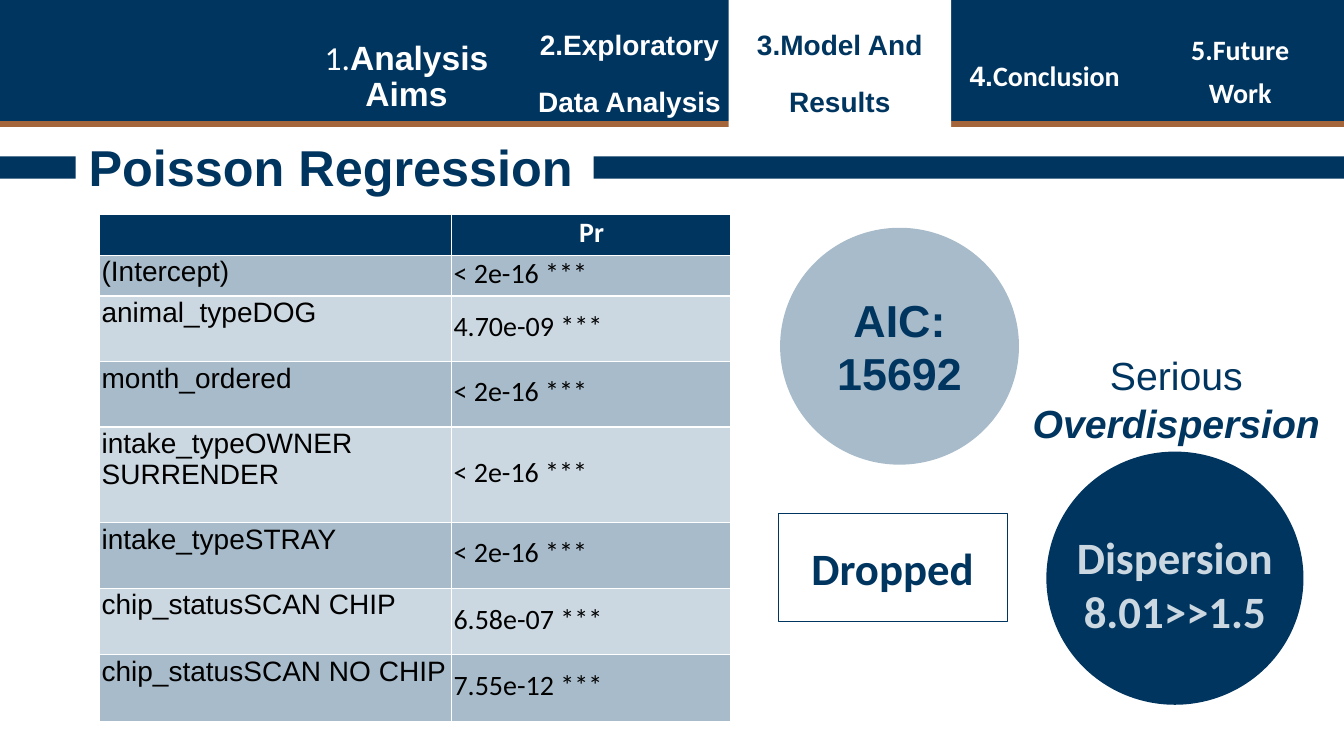
import pptx
import pptx.dml.color
import pptx.enum.shapes
import pptx.enum.text
import pptx.oxml
import pptx.util

Cm = pptx.util.Cm
Pt = pptx.util.Pt
RGBColor = pptx.dml.color.RGBColor
Shape = pptx.enum.shapes.MSO_SHAPE
Align = pptx.enum.text.PP_ALIGN
Anchor = pptx.enum.text.MSO_ANCHOR

NAVY = RGBColor(0x00, 0x35, 0x5F)
COPPER = RGBColor(0xA4, 0x65, 0x3A)
STEEL = RGBColor(0xA8, 0xBB, 0xCA)
MIST = RGBColor(0xCC, 0xD8, 0xE1)
WHITE = RGBColor(0xFF, 0xFF, 0xFF)
BLACK = RGBColor(0x00, 0x00, 0x00)


def apply(target, values):
    for name, value in values.items():
        setattr(target, name, value)


def font(name, size, color, bold=True, italic=False):
    return {"name": name, "size": Pt(size), "color": color, "bold": bold, "italic": italic}


class SlideBuilder:
    border = ('<a:{side} xmlns:a="http://schemas.openxmlformats.org/drawingml/2006/main" w="12700">'
              '<a:solidFill><a:srgbClr val="FFFFFF"/></a:solidFill></a:{side}>')
    cell_margins = {"margin_left": Cm(0.05), "margin_right": Cm(0.03),
                    "margin_top": Cm(0.03), "margin_bottom": Cm(0.13)}

    def __init__(self, presentation):
        self.slide = presentation.slides.add_slide(presentation.slide_layouts[5])
        self.shapes = self.slide.shapes

    def fill_text(self, frame, paragraphs, spacing=1.0, alignment=Align.CENTER):
        for index, runs in enumerate(paragraphs):
            paragraph = frame.paragraphs[0] if index == 0 else frame.add_paragraph()
            apply(paragraph, {"alignment": alignment, "line_spacing": spacing})
            for text, style in runs:
                for number, line in enumerate(text.split("\n")):
                    if number:
                        paragraph.add_line_break()
                    run = paragraph.add_run()
                    run.text = line
                    values = dict(style)
                    run.font.color.rgb = values.pop("color")
                    apply(run.font, values)

    def title(self, box, text, style):
        title = self.shapes.title
        apply(title, dict(zip(("left", "top", "width", "height"), map(Cm, box))))
        apply(title.text_frame, {"vertical_anchor": Anchor.MIDDLE, "word_wrap": True,
                                 "auto_size": pptx.enum.text.MSO_AUTO_SIZE.NONE})
        self.fill_text(title.text_frame, [[(text, style)]], 0.9, Align.LEFT)

    def shape(self, kind, box, fill=None, outline=None):
        shape = self.shapes.add_shape(kind, *map(Cm, box))
        shape.shadow.inherit = False
        if fill is None:
            shape.fill.background()
        else:
            shape.fill.solid()
            shape.fill.fore_color.rgb = fill
        if outline is None:
            shape.line.fill.background()
        else:
            shape.line.color.rgb = outline
            shape.line.width = Pt(0.75)
        shape.text_frame.vertical_anchor = Anchor.TOP
        return shape

    def text(self, box, paragraphs, spacing=1.0):
        frame = self.shapes.add_textbox(*map(Cm, box)).text_frame
        frame.word_wrap = True
        self.fill_text(frame, paragraphs, spacing)

    def cell(self, cell, text, style, fill, alignment, anchor):
        apply(cell, {**self.cell_margins, "vertical_anchor": anchor})
        properties = cell._tc.get_or_add_tcPr()
        for side in ("lnL", "lnR", "lnT", "lnB"):
            properties.append(pptx.oxml.parse_xml(self.border.format(side=side)))
        cell.fill.solid()
        cell.fill.fore_color.rgb = fill
        if text:
            self.fill_text(cell.text_frame, [[(text, style)]], alignment=alignment)

    def table(self, left, top, widths, heights, rows):
        table = self.shapes.add_table(len(rows), len(widths), Cm(left), Cm(top),
                                      Cm(sum(widths)), Cm(sum(heights))).table
        for column, width in zip(table.columns, widths):
            column.width = Cm(width)
        for index, (height, values) in enumerate(zip(heights, rows)):
            table.rows[index].height = Cm(height)
            header = index == 0
            fill = NAVY if header else STEEL if index % 2 else MIST
            for column, value in enumerate(values):
                style = font(("Arial", "Calibri")[column], 20, WHITE if header else BLACK, header)
                anchor = Anchor.MIDDLE if column and index > 1 else Anchor.TOP
                self.cell(table.cell(index, column), value, style, fill,
                          Align.CENTER if header else Align.LEFT, anchor)


def main():
    presentation = pptx.Presentation()
    apply(presentation, {"slide_width": Cm(33.87), "slide_height": Cm(19.05)})
    builder = SlideBuilder(presentation)

    for box, fill in (
        ((0, 0.13, 33.87, 3.07), COPPER),
        ((0, 0, 33.87, 3.05), NAVY),
        ((0, 3.94, 1.91, 0.56), NAVY),
        ((14.96, 3.94, 18.91, 0.56), NAVY),
    ):
        builder.shape(Shape.RECTANGLE, box, fill)
    builder.title((1.98, 3.2, 18.42, 2.18), "Poisson Regression", font("Arial", 36, NAVY))

    builder.table(2.51, 5.41, (8.87, 7.04), (1.02, 1.02, 1.65, 1.65, 2.41, 1.65, 1.68, 1.68), (
        ("", "Pr"),
        ("(Intercept)", "< 2e-16 ***"),
        ("animal_typeDOG", "4.70e-09 ***"),
        ("month_ordered", "< 2e-16 ***"),
        ("intake_typeOWNER SURRENDER", "< 2e-16 ***"),
        ("intake_typeSTRAY", "< 2e-16 ***"),
        ("chip_statusSCAN CHIP", "6.58e-07 ***"),
        ("chip_statusSCAN NO CHIP", "7.55e-12 ***"),
    ))

    builder.shape(Shape.OVAL, (19.66, 5.74, 6.02, 5.97), STEEL)
    builder.text((20.7, 7.24, 3.94, 3), [[("AIC:\n15692", font("Arial", 32, NAVY))]])
    builder.shape(Shape.OVAL, (26.37, 11.38, 6.48, 6.38), NAVY)
    builder.text((26.37, 13.23, 6.48, 3),
                 [[("Dispersion\n8.01>>1.5", font("Calibri", 32, MIST))]])
    builder.text((25.43, 8.74, 8.43, 2.64), [
        [("Serious", font("Arial", 28, NAVY, False))],
        [("Overdispersion", font("Arial", 28, NAVY, True, True))],
    ])
    dropped = builder.shape(Shape.RECTANGLE, (19.61, 12.95, 5.77, 2.72), outline=NAVY)
    builder.fill_text(dropped.text_frame, [[("Dropped", font("Calibri", 32, NAVY))]], 1.4)

    arial_tab = font("Arial", 20, WHITE)
    calibri_tab = font("Calibri", 20, WHITE)
    builder.text((7.44, 0.91, 5.61, 2.29), [[("1.", font("Calibri", 24, WHITE, False)),
                                            ("Analysis Aims", font("Arial", 24, WHITE))]], 0.9)
    builder.text((13.06, 0, 5.61, 3.66), [[("2.Exploratory Data Analysis", arial_tab)]], 1.68)
    active_tab = builder.shape(Shape.RECTANGLE, (18.36, 0, 5.61, 3.66), WHITE)
    builder.fill_text(active_tab.text_frame,
                      [[("3.Model And Results", font("Arial", 20, NAVY))]], 1.68)
    builder.text((23.37, 0.43, 5.92, 3.2),
                 [[("4.", arial_tab), ("Conclusion", calibri_tab)]], 2.1)
    builder.text((28.45, 0.43, 5.61, 3.2),
                 [[("5.Future", calibri_tab)], [("Work", calibri_tab)]], 1.3)

    presentation.save("out.pptx")


if __name__ == "__main__":
    main()
